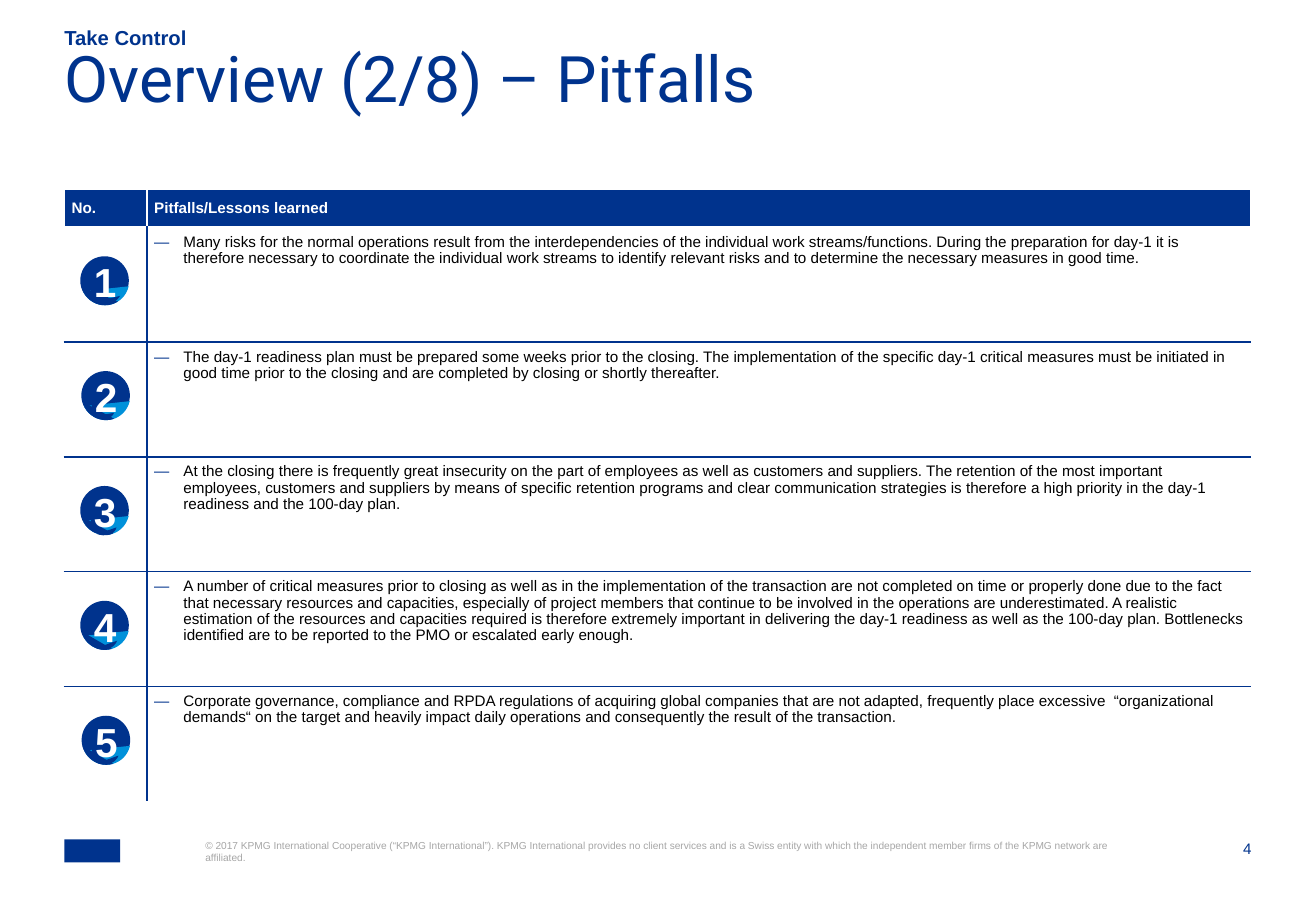
from lxml.etree import SubElement
from pptx import Presentation
from pptx.dml.color import RGBColor
from pptx.enum.shapes import MSO_SHAPE as Shape
from pptx.enum.text import MSO_ANCHOR as Anchor, MSO_AUTO_SIZE as AutoSize, PP_ALIGN as Align
from pptx.oxml.ns import qn
from pptx.util import Inches, Pt

COLORS = {"navy": "00338D", "sky": "0091DA", "grey": "A6A6A6", "white": "FFFFFF", "black": "000000"}

FONTS = {
    "title": ({"name": "Roboto", "size": Pt(38), "bold": False}, "navy"),
    "kicker": ({"name": "Arial", "size": Pt(12), "bold": True}, "navy"),
    "header": ({"name": "Arial", "size": Pt(9), "bold": True}, "white"),
    "lesson": ({"name": "Arial", "size": Pt(9), "bold": False}, "black"),
    "badge": ({"name": "Arial", "size": Pt(24), "bold": True}, "white"),
    "footer": ({"name": "Arial", "size": Pt(6), "bold": False}, "grey"),
    "number": ({"name": "Arial", "size": Pt(9), "bold": False}, "navy"),
}

LEFT, WIDTH = 4.89, 90.12
TABLE_TOP, HEADER_HEIGHT, ROW_HEIGHT = 20.8, 4.13, 12.61
NUMBER_WIDTH = 6.28
BADGE_SIZE, BADGE_DROP = 3.69, 3.2
CELL_INSET, HANGING = 0.55, 2.22

HEADERS = ["No.", "Pitfalls/Lessons learned"]
LESSONS = [
    "Many risks for the normal operations result from the interdependencies of the individual work streams/functions. During the preparation for day-1 it is therefore necessary to coordinate the individual work streams to identify relevant risks and to determine the necessary measures in good time.",
    "The day-1 readiness plan must be prepared some weeks prior to the closing. The implementation of the specific day-1 critical measures must be initiated in good time prior to the closing and are completed by closing or shortly thereafter.",
    "At the closing there is frequently great insecurity on the part of employees as well as customers and suppliers. The retention of the most important employees, customers and suppliers by means of specific retention programs and clear communication strategies is therefore a high priority in the day-1 readiness and the 100-day plan.",
    "A number of critical measures prior to closing as well as in the implementation of the transaction are not completed on time or properly done due to the fact that necessary resources and capacities, especially of project members that continue to be involved in the operations are underestimated. A realistic estimation of the resources and capacities required is therefore extremely important in delivering the day-1 readiness as well as the 100-day plan. Bottlenecks identified are to be reported to the PMO or escalated early enough.",
    "Corporate governance, compliance and RPDA regulations of acquiring global companies that are not adapted, frequently place excessive  “organizational demands“ on the target and heavily impact daily operations and consequently the result of the transaction.",
]
FOOTER = "© 2017 KPMG International Cooperative (“KPMG International”). KPMG International provides no client services and is a Swiss entity with which the independent member firms of the KPMG network are affiliated."

BADGES = [
    {"left": 6.1, "shade": 58.23, "tail": (0.1, 0.22, 0.78, 0.78), "turn": 315, "tail_arc": (77.05, 166.04),
     "panel": [(0.22, 0.12), (0.57, 0.12), (0.57, 0.85), (0.22, 0.85)]},
    {"left": 6.18, "shade": 70.86, "tail": (0.1, 0.33, 0.52, 0.72), "turn": 306.1, "tail_arc": (81.95, 166.04),
     "panel": [(0.22, 0.12), (0.65, 0.15), (0.4, 0.83), (0.22, 0.83)]},
    {"left": 6.1, "shade": 71, "tail": (0.15, 0.37, 0.52, 0.72), "turn": 298, "tail_arc": (81.95, 166.04),
     "panel": [(0.22, 0.12), (0.6, 0.17), (0.6, 0.82), (0.22, 0.85)]},
    {"left": 6.1, "shade": 73.73, "tail": (0.12, 0.32, 0.62, 0.72), "turn": 301.1, "tail_arc": (81.95, 168.3),
     "panel": [(0.22, 0.12), (0.6, 0.15), (0.55, 0.65), (0.22, 0.7)]},
    {"left": 6.2, "shade": 73.73, "tail": (0.12, 0.32, 0.62, 0.72), "turn": 301.1, "tail_arc": (81.95, 168.3),
     "panel": [(0.22, 0.12), (0.43, 0.47), (0.62, 0.5), (0.57, 0.82), (0.22, 0.8)]},
]


def apply(target, values):
    for name, value in values.items():
        setattr(target, name, value)


def color(name):
    return RGBColor.from_string(COLORS[name])


class SlideBuilder:
    def __init__(self, presentation):
        self.width, self.height = presentation.slide_width, presentation.slide_height
        self.slide = presentation.slides.add_slide(presentation.slide_layouts[1])

    def x(self, share):
        return round(self.width * share / 100)

    def y(self, share):
        return round(self.height * share / 100)

    def area(self, left, top, width, height):
        return self.x(left), self.y(top), self.x(width), self.y(height)

    def put_text(self, frame, text, style, **layout):
        paragraph = frame.paragraphs[0]
        run = paragraph.add_run()
        run.text = text
        values, font_color = FONTS[style]
        apply(run.font, values)
        run.font.color.rgb = color(font_color)
        apply(paragraph, {"space_before": Pt(0), **layout})

    def frame(self, shape, **values):
        margins = dict.fromkeys(("margin_left", "margin_top", "margin_right", "margin_bottom"), 0)
        apply(shape.text_frame, {"word_wrap": True, "auto_size": AutoSize.NONE, **margins, **values})
        return shape.text_frame

    def placeholder(self, index, area, text, style, anchor, **layout):
        shape = self.slide.placeholders[index]
        apply(shape, dict(zip(("left", "top", "width", "height"), self.area(*area))))
        frame = self.frame(shape, vertical_anchor=anchor)
        properties = frame.paragraphs[0]._p.get_or_add_pPr()
        properties.set("marL", "0")
        properties.set("indent", "0")
        SubElement(properties, qn("a:buNone"))
        self.put_text(frame, text, style, alignment=Align.LEFT, **layout)

    def text(self, area, text, style, **layout):
        shape = self.slide.shapes.add_textbox(*self.area(*area))
        self.put_text(self.frame(shape), text, style, **layout)

    def paint(self, shape, fill):
        shape.shadow.inherit = False
        shape.fill.solid()
        shape.fill.fore_color.rgb = color(fill)
        shape.line.fill.background()

    def block(self, area, fill):
        self.paint(self.slide.shapes.add_shape(Shape.RECTANGLE, *self.area(*area)), fill)

    def cell(self, cell, fill, borders):
        properties = cell._tc.get_or_add_tcPr()
        for side, border in zip("LRTB", borders):
            line = SubElement(properties, qn(f"a:ln{side}"), w=str(Pt(1)))
            solid = SubElement(line, qn("a:solidFill"))
            SubElement(solid, qn("a:srgbClr"), val=COLORS[border])
        cell.fill.solid()
        cell.fill.fore_color.rgb = color(fill)
        inset = self.x(CELL_INSET)
        apply(cell, dict.fromkeys(("margin_left", "margin_top", "margin_right", "margin_bottom"), inset))

    def bullet(self, paragraph):
        properties = paragraph._p.get_or_add_pPr()
        properties.set("marL", str(self.x(HANGING)))
        properties.set("indent", str(-self.x(HANGING)))
        SubElement(SubElement(properties, qn("a:buClr")), qn("a:srgbClr"), val=COLORS["navy"])
        SubElement(properties, qn("a:buFont"), typeface="Arial")
        SubElement(properties, qn("a:buChar"), char="—")

    def lesson_table(self, headers, lessons):
        last = len(lessons)
        area = self.area(LEFT, TABLE_TOP, WIDTH, HEADER_HEIGHT + last * ROW_HEIGHT)
        table = self.slide.shapes.add_table(last + 1, 2, *area).table
        apply(table, {"first_row": False, "horz_banding": False})
        for column, width in zip(table.columns, (NUMBER_WIDTH, WIDTH - NUMBER_WIDTH)):
            column.width = self.x(width)
        for index, row in enumerate(table.rows):
            row.height = self.y(ROW_HEIGHT if index else HEADER_HEIGHT)
            fill, divider = ("white", "navy") if index else ("navy", "white")
            top = "navy" if index > 1 else "white"
            bottom = "navy" if 0 < index < last else "white"
            self.cell(row.cells[0], fill, ("white", divider, top, bottom))
            self.cell(row.cells[1], fill, (divider, "white", top, bottom))
        for cell, header in zip(table.rows[0].cells, headers):
            cell.vertical_anchor = Anchor.MIDDLE
            self.put_text(cell.text_frame, header, "header", line_spacing=0.95)
        for index, lesson in enumerate(lessons, 1):
            frame = table.cell(index, 1).text_frame
            self.bullet(frame.paragraphs[0])
            self.put_text(frame, lesson, "lesson", line_spacing=0.95, space_after=Pt(2))

    def badge(self, number, top, left, shade, panel, tail, turn, tail_arc):
        shapes = self.slide.shapes.add_group_shape().shapes
        size, left, top = self.x(BADGE_SIZE), self.x(left), self.y(top)

        def within(across, down, width, height):
            return (round(left + across * size), round(top + down * size),
                    round(width * size), round(height * size))

        def chord(area, fill, arc, rotation=0):
            shape = shapes.add_shape(Shape.CHORD, *within(*area))
            for index, angle in enumerate(arc):
                shape.adjustments[index] = angle * 0.6
            shape.rotation = rotation
            self.paint(shape, fill)

        self.paint(shapes.add_shape(Shape.OVAL, *within(0, 0, 1, 1)), "navy")
        chord((0.01, 0, 1, 1.01), "sky", (13.23, 154.41))
        chord((0.01, 0, 1, 1.01), "navy", (shade, 166.04))
        points = [within(*point, 0, 0)[:2] for point in panel]
        builder = shapes.build_freeform(*points[0])
        builder.add_line_segments(points[1:])
        self.paint(builder.convert_to_shape(), "navy")
        chord(tail, "navy", tail_arc, turn)
        label = shapes.add_textbox(*within(0.02, -0.1, 0.98, 1.25))
        label.text_frame.word_wrap = False
        self.put_text(label.text_frame, str(number), "badge", alignment=Align.CENTER)


def main():
    presentation = Presentation()
    apply(presentation, {"slide_width": Inches(10.83), "slide_height": Inches(7.5)})
    builder = SlideBuilder(presentation)
    builder.placeholder(1, (LEFT, 2.93, 86.8, 2.53), "Take Control", "kicker", Anchor.BOTTOM)
    builder.placeholder(0, (LEFT, 6.53, WIDTH, 10.53), "Overview (2/8) – Pitfalls", "title",
                        Anchor.TOP, line_spacing=0.7)
    builder.lesson_table(HEADERS, LESSONS)
    for index, badge in enumerate(BADGES):
        top = TABLE_TOP + HEADER_HEIGHT + index * ROW_HEIGHT + BADGE_DROP
        builder.badge(index + 1, top, **badge)
    builder.block((LEFT, 92.13, 4.25, 2.53), "navy")
    builder.text((15.6, 92.13, 69.16, 5.47), FOOTER, "footer")
    builder.text((91.14, 92.13, 3.97, 2.13), "4", "number", alignment=Align.RIGHT)
    presentation.save("out.pptx")


if __name__ == "__main__":
    main()
